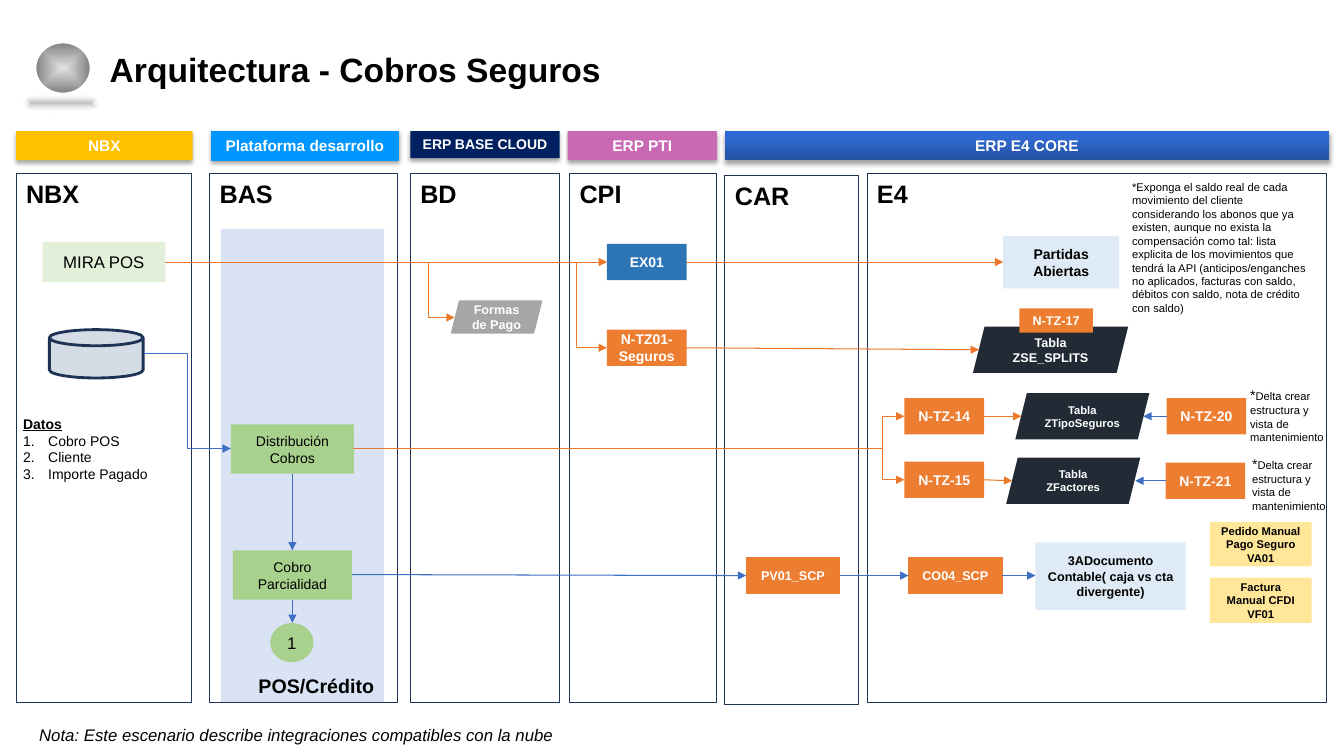
from lxml.etree import SubElement
from pptx import Presentation
from pptx.dml.color import RGBColor
from pptx.enum.shapes import MSO_CONNECTOR, MSO_SHAPE
from pptx.enum.text import MSO_ANCHOR, PP_ALIGN
from pptx.oxml import parse_xml
from pptx.oxml.ns import nsdecls, qn
from pptx.util import Inches, Pt

BLACK = RGBColor(0x00, 0x00, 0x00)
WHITE = RGBColor(0xFF, 0xFF, 0xFF)
NAVY = RGBColor(0x1E, 0x32, 0x56)
DEEP_BLUE = RGBColor(0x00, 0x20, 0x60)
SKY = RGBColor(0x00, 0x96, 0xFF)
AMBER = RGBColor(0xFF, 0xC0, 0x00)
PINK = RGBColor(0xCA, 0x69, 0xB3)
LAVENDER = RGBColor(0xDA, 0xE3, 0xF3)
GREEN = RGBColor(0xA9, 0xD1, 0x8E)
PALE_GREEN = RGBColor(0xE2, 0xF0, 0xD9)
PALE_BLUE = RGBColor(0xDE, 0xEB, 0xF7)
STEEL = RGBColor(0xD6, 0xDC, 0xE5)
BLUE = RGBColor(0x2E, 0x75, 0xB6)
ORANGE = RGBColor(0xED, 0x7D, 0x31)
YELLOW = RGBColor(0xFF, 0xE6, 0x99)
CHARCOAL = RGBColor(0x22, 0x2A, 0x35)
GRAY = RGBColor(0xA6, 0xA6, 0xA6)
ORANGE_LINE = RGBColor(0xEC, 0x79, 0x2B)
BLUE_LINE = RGBColor(0x3F, 0x6F, 0xC3)

RECT, SLANT, OVAL = MSO_SHAPE.RECTANGLE, MSO_SHAPE.PARALLELOGRAM, MSO_SHAPE.OVAL

deck = Presentation()
deck.slide_width, deck.slide_height = Inches(13.33), Inches(7.5)
page = deck.slides.add_slide(deck.slide_layouts[6])


def add_block(kind, place, text="", size=10, fill=None, color=BLACK, line=None, width=0.75,
              align=PP_ALIGN.CENTER, anchor=MSO_ANCHOR.MIDDLE, **font_format):
    """Add a shape, or a text box when kind is None; each line of text is a paragraph."""
    area = [Inches(value) for value in place]
    if kind is None:
        box = page.shapes.add_textbox(*area)
    else:
        box = page.shapes.add_shape(kind, *area)
        box.shadow.inherit = False
    if fill is None:
        box.fill.background()
    else:
        box.fill.solid()
        box.fill.fore_color.rgb = fill
    if line is None:
        box.line.fill.background()
    else:
        box.line.color.rgb = line
        box.line.width = Pt(width)
    frame = box.text_frame
    frame.word_wrap = True
    frame.vertical_anchor = anchor
    font_format = {"name": "Arial", "size": Pt(size), **font_format}
    for index, words in enumerate(text.split("\n") if text else []):
        para = frame.paragraphs[0] if index == 0 else frame.add_paragraph()
        para.alignment = align
        span = para.add_run()
        span.text = words
        span.font.color.rgb = color
        for name, value in font_format.items():
            setattr(span.font, name, value)
    return box


def add_arrow(x1, y1, x2, y2, color, bend=None):
    """Add an arrow; bend is the share of its width at which an elbow turns."""
    kind = MSO_CONNECTOR.STRAIGHT if bend is None else MSO_CONNECTOR.ELBOW
    arrow = page.shapes.add_connector(kind, *[Inches(value) for value in (x1, y1, x2, y2)])
    arrow.line.color.rgb = color
    arrow.line.width = Pt(0.75)
    SubElement(arrow.line._get_or_add_ln(), qn("a:tailEnd"), type="triangle")
    properties = arrow._element.spPr
    SubElement(properties, qn("a:effectLst"))
    if bend is not None:
        guides = properties.find(qn("a:prstGeom")).get_or_add_avLst()
        SubElement(guides, qn("a:gd"), name="adj1", fmla=f"val {round(bend * 100000)}")


# Title and ball
add_block(RECT, (2.19, 2.27, 1.62, 4.7), "POS/Crédito", 14, LAVENDER,
          align=PP_ALIGN.RIGHT, anchor=MSO_ANCHOR.BOTTOM, bold=True)
ball = add_block(OVAL, (0.35, 0.42, 0.55, 0.51), line=WHITE, width=1.5)
ball_shade = add_block(OVAL, (0.22, 0.93, 0.77, 0.19))
title = add_block(None, (0.99, 0.48, 5.44, 0.46), "Arquitectura - Cobros Seguros", 24,
                  align=PP_ALIGN.LEFT, anchor=MSO_ANCHOR.TOP, bold=True)
title.text_frame.paragraphs[0].line_spacing = 0.9

# Columns
for name, left, top, width in [
    ("NBX", 0.16, 1.72, 1.74), ("BAS", 2.08, 1.72, 1.86), ("BD", 4.07, 1.72, 1.48),
    ("CPI", 5.65, 1.72, 1.46), ("CAR", 7.19, 1.74, 1.33), ("E4", 8.6, 1.72, 4.56),
]:
    add_block(RECT, (left, top, width, 5.25), name, 18, line=NAVY,
              align=PP_ALIGN.LEFT, anchor=MSO_ANCHOR.TOP, bold=True)

# Headers; the last one is filled with a gradient below
for name, left, width, height, size, fill, line in [
    ("NBX", 0.16, 1.75, 0.29, 11, AMBER, None),
    ("Plataforma desarrollo", 2.1, 1.85, 0.29, 11, SKY, SKY),
    ("ERP BASE CLOUD", 4.07, 1.48, 0.27, 10, DEEP_BLUE, None),
    ("ERP PTI", 5.63, 1.48, 0.29, 11, PINK, None),
    ("ERP E4 CORE", 7.19, 5.99, 0.29, 11, None, None),
]:
    header = add_block(RECT, (left, 1.3, width, height), name, size, fill, WHITE, line,
                       anchor=MSO_ANCHOR.TOP, bold=True)
    effects = header._element.spPr.find(qn("a:effectLst"))
    shadow = SubElement(effects, qn("a:outerShdw"), blurRad="40000", dist="23000",
                        dir="5400000", rotWithShape="0")
    shade = SubElement(shadow, qn("a:srgbClr"), val="000000")
    SubElement(shade, qn("a:alpha"), val="35000")

# Gradients: stops are position, colour and opacity in percent
CENTRE = '<a:path path="rect"><a:fillToRect l="50000" t="50000" r="50000" b="50000"/></a:path>'
UPWARD = '<a:lin ang="16200000" scaled="0"/>'
for shape, stops, direction in [
    (ball, [(0, "E0E0E0", 100), (100, "808080", 100)], CENTRE),
    (ball_shade, [(0, "808080", 50), (100, "FFFFFF", 0)], CENTRE),
    (header, [(0, "2451A1", 100), (80, "2F69D1", 100), (100, "2C69D5", 100)], UPWARD),
]:
    stop_list = "".join(
        f'<a:gs pos="{place * 1000}"><a:srgbClr val="{color}">'
        f'<a:alpha val="{opacity * 1000}"/></a:srgbClr></a:gs>'
        for place, color, opacity in stops)
    properties = shape._element.spPr
    properties.replace(properties.find(qn("a:noFill")), parse_xml(
        f'<a:gradFill {nsdecls("a")} rotWithShape="1"><a:gsLst>{stop_list}</a:gsLst>'
        f'{direction}</a:gradFill>'))

# Process blocks
for kind, place, text, size, fill, color, bold in [
    (RECT, (0.42, 2.4, 1.22, 0.4), "MIRA POS", 12, PALE_GREEN, BLACK, False),
    (RECT, (2.29, 4.21, 1.22, 0.49), "Distribución Cobros", 10, GREEN, BLACK, False),
    (RECT, (2.31, 5.46, 1.18, 0.49), "Cobro Parcialidad", 10, GREEN, BLACK, False),
    (OVAL, (2.68, 6.18, 0.43, 0.39), "1", 12, GREEN, BLACK, False),
    (SLANT, (4.47, 2.98, 0.91, 0.33), "Formas de Pago", 9, GRAY, WHITE, True),
    (RECT, (6.02, 2.42, 0.79, 0.36), "EX01", 10, BLUE, WHITE, True),
    (RECT, (6.02, 3.27, 0.79, 0.36), "N-TZ01-Seguros", 10, ORANGE, WHITE, True),
    (RECT, (9.95, 2.34, 1.15, 0.52), "Partidas Abiertas", 10, PALE_BLUE, BLACK, True),
    (SLANT, (9.65, 3.24, 1.54, 0.46), "Tabla ZSE_SPLITS", 9, CHARCOAL, WHITE, True),
    (RECT, (10.11, 3.06, 0.73, 0.24), "N-TZ-17", 9, ORANGE, WHITE, True),
    (SLANT, (10.07, 3.9, 1.33, 0.46), "Tabla ZTipoSeguros", 8, CHARCOAL, WHITE, True),
    (SLANT, (9.98, 4.54, 1.33, 0.46), "Tabla ZFactores", 8, CHARCOAL, WHITE, True),
    (RECT, (8.97, 3.95, 0.79, 0.36), "N-TZ-14", 10, ORANGE, WHITE, True),
    (RECT, (8.97, 4.58, 0.79, 0.36), "N-TZ-15", 10, ORANGE, WHITE, True),
    (RECT, (11.57, 3.95, 0.79, 0.36), "N-TZ-20", 10, ORANGE, WHITE, True),
    (RECT, (11.56, 4.59, 0.79, 0.36), "N-TZ-21", 10, ORANGE, WHITE, True),
    (RECT, (10.27, 5.38, 1.49, 0.67), "3ADocumento Contable( caja vs cta divergente)", 9,
     PALE_BLUE, BLACK, True),
    (RECT, (12, 5.18, 1.01, 0.44), "Pedido Manual\nPago Seguro VA01", 8, YELLOW, BLACK, True),
    (RECT, (12, 5.73, 1.01, 0.45), "Factura Manual CFDI VF01", 8, YELLOW, BLACK, True),
]:
    add_block(kind, place, text, size, fill, color, bold=bold)
for left, text in [(7.4, "PV01_SCP"), (9.01, "CO04_SCP")]:
    add_block(RECT, (left, 5.53, 0.93, 0.36), text, 9, ORANGE, WHITE, ORANGE, bold=True)
add_block(MSO_SHAPE.FLOWCHART_MAGNETIC_DISK, (0.49, 3.27, 0.93, 0.48),
          fill=STEEL, line=NAVY, width=2)

# Notes and list
plain = {"align": PP_ALIGN.LEFT, "anchor": MSO_ANCHOR.TOP}
add_block(None, (0.29, 7.14, 5.76, 0.3),
          "Nota: Este escenario describe integraciones compatibles con la nube", 12,
          italic=True, **plain)
add_block(None, (11.13, 1.74, 1.93, 1.45),
          "*Exponga el saldo real de cada movimiento del cliente considerando los abonos que ya "
          "existen, aunque no exista la compensación como tal: lista explicita de los movimientos "
          "que tendrá la API (anticipos/enganches no aplicados, facturas con saldo, débitos con "
          "saldo, nota de crédito con saldo)", 8, **plain)
for left, top in [(12.3, 3.79), (12.32, 4.47)]:
    delta_note = add_block(None, (left, top, 1.01, 0.67), "*", 10, **plain)
    span = delta_note.text_frame.paragraphs[0].add_run()
    span.text = "Delta crear estructura y vista de mantenimiento"
    span.font.color.rgb = BLACK
    for name, value in {"name": "Arial", "size": Pt(8)}.items():
        setattr(span.font, name, value)

data_list = add_block(None, (0.13, 4.07, 1.45, 0.96),
                      "Datos\nCobro POS\nCliente\nImporte Pagado", 10, **plain)
heading, *items = data_list.text_frame.paragraphs
for name in ("bold", "underline"):
    setattr(heading.runs[0].font, name, True)
for para in items:
    settings = para._p.get_or_add_pPr()
    settings.set("marL", str(Inches(0.25)))
    settings.set("indent", str(-Inches(0.25)))
    SubElement(settings, qn("a:buFont"), typeface="+mj-lt")
    SubElement(settings, qn("a:buAutoNum"), type="arabicPeriod")

# Arrows
for color, routes in [
    (ORANGE_LINE, [
        (1.64, 2.6, 6.02, 2.6), (6.8, 2.6, 9.95, 2.6), (6.8, 3.45, 9.71, 3.47),
        (9.76, 4.13, 10.13, 4.13), (9.76, 4.76, 10.04, 4.77),
    ]),
    (BLUE_LINE, [
        (2.9, 4.7, 2.9, 5.46), (2.9, 5.95, 2.9, 6.18), (3.49, 5.7, 7.4, 5.71),
        (8.33, 5.71, 9.01, 5.71), (9.94, 5.71, 10.27, 5.71),
        (11.57, 4.13, 11.34, 4.13), (11.56, 4.77, 11.26, 4.77),
    ]),
]:
    for route in routes:
        add_arrow(*route, color)
add_arrow(1.43, 3.51, 2.29, 4.45, BLUE_LINE, 0.5)
add_arrow(1.64, 2.6, 4.51, 3.15, ORANGE_LINE, 0.91)
add_arrow(1.64, 2.6, 6.02, 3.45, ORANGE_LINE, 0.93)
for target in (4.13, 4.76):
    add_arrow(3.5, 4.45, 8.97, target, ORANGE_LINE, 0.96)

deck.save("out.pptx")
